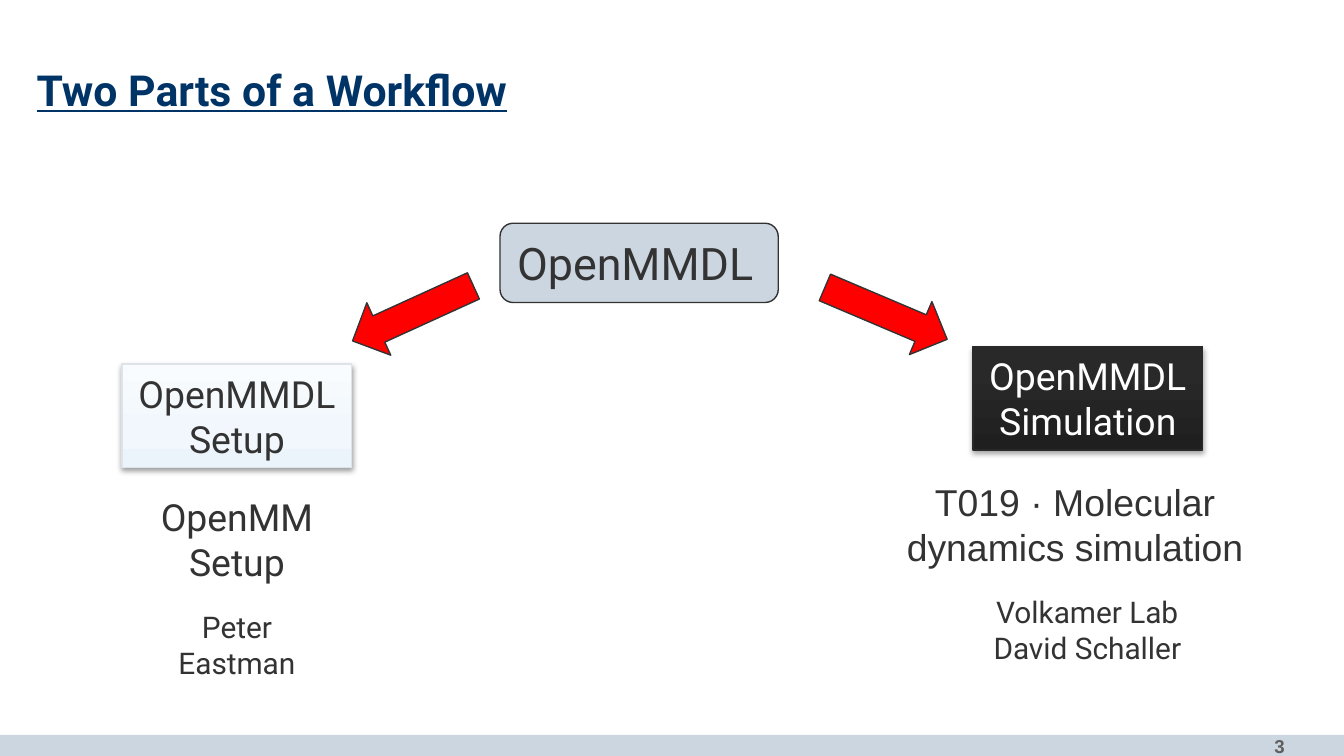
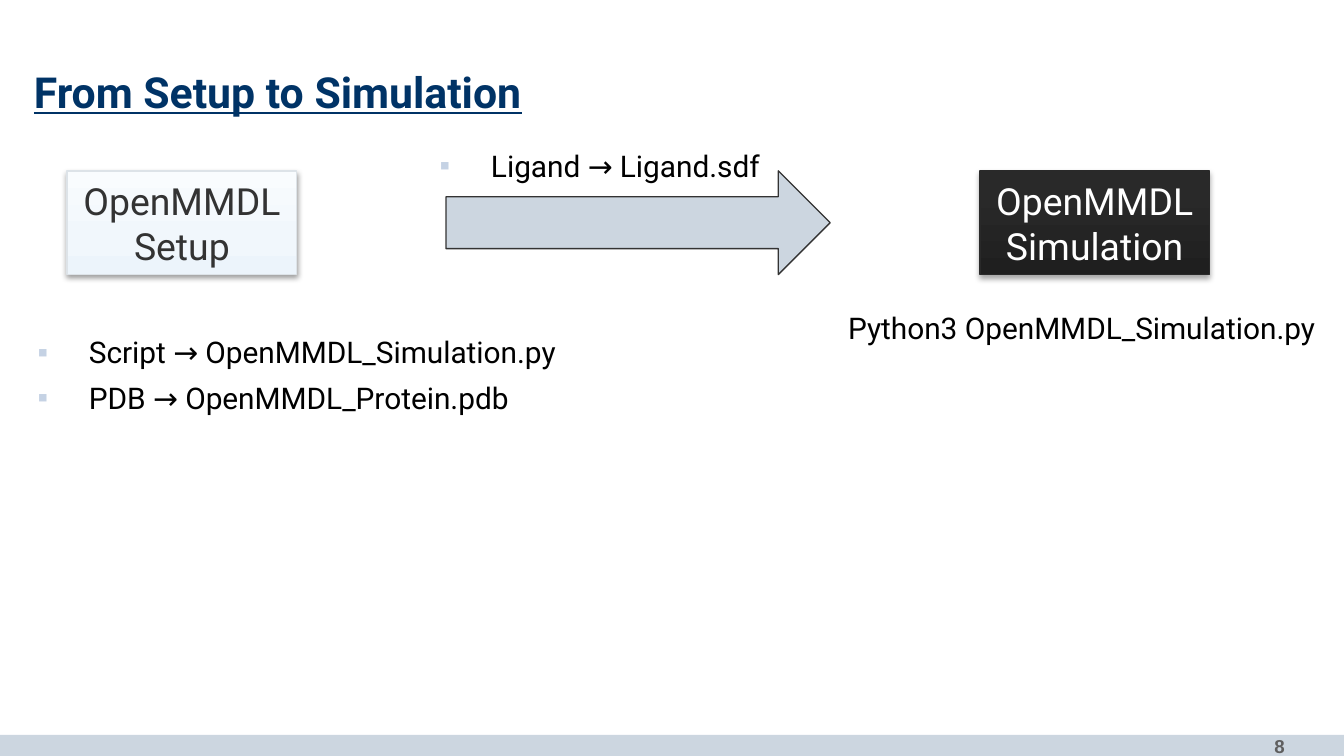
"""Builds two slides about the parts of the OpenMMDL workflow."""
from lxml import etree
from pptx import Presentation
from pptx.dml.color import RGBColor
from pptx.enum.shapes import MSO_SHAPE
from pptx.enum.text import MSO_ANCHOR, MSO_AUTO_SIZE, PP_ALIGN
from pptx.oxml.ns import qn
from pptx.util import Cm, Pt

RECT, ROUND, ARROW = MSO_SHAPE.RECTANGLE, MSO_SHAPE.ROUNDED_RECTANGLE, MSO_SHAPE.RIGHT_ARROW
LEFT, CENTER, RIGHT = PP_ALIGN.LEFT, PP_ALIGN.CENTER, PP_ALIGN.RIGHT
TOP, MIDDLE = MSO_ANCHOR.TOP, MSO_ANCHOR.MIDDLE
NO_FIT = MSO_AUTO_SIZE.NONE

NAVY = RGBColor(0x00, 0x33, 0x66)
BAND = RGBColor(0xCC, 0xD6, 0xE0)
GRAY = RGBColor(0x5F, 0x5F, 0x5F)
DARK = RGBColor(0x33, 0x33, 0x33)
RED = RGBColor(0xFF, 0x00, 0x00)
BLACK = RGBColor(0x00, 0x00, 0x00)
WHITE = RGBColor(0xFF, 0xFF, 0xFF)
BULLET = RGBColor(0xC5, 0xD2, 0xE4)
PALE_EDGE = RGBColor(0xDD, 0xE3, 0xE8)
COAL = RGBColor(0x29, 0x29, 0x29)
PALE_STOPS = [(0, RGBColor(0xEC, 0xF4, 0xFB)), (35, RGBColor(0xF1, 0xF7, 0xFC)),
              (100, RGBColor(0xF9, 0xFC, 0xFE))]
COAL_STOPS = [(0, RGBColor(0x1F, 0x1F, 0x1F)), (80, COAL), (100, COAL)]

WIDTH, HEIGHT = 25.4, 14.29
BOX_W, BOX_H = 4.34, 1.96


def add(parent, tag, **attrs):
    return etree.SubElement(parent, qn(tag), {k: str(v) for k, v in attrs.items()})


def add_color(parent, color):
    return add(parent, "a:srgbClr", val=color)


class Deck:
    def __init__(self):
        self.prs = Presentation()
        self.prs.slide_width, self.prs.slide_height = Cm(WIDTH), Cm(HEIGHT)
        self.font = "Roboto"
        self.slide = None

    def new_slide(self, title, number, x, y):
        self.slide = self.prs.slides.add_slide(self.prs.slide_layouts[5])
        self.shape(RECT, 0, 13.89, WIDTH, HEIGHT - 13.89, BAND)
        self.text([number], 21.13, 13.77, 3.4, 0.51, 10, GRAY, RIGHT, font="Arial", bold=True)
        sp = self.slide.shapes.title
        sp.left, sp.top, sp.width, sp.height = Cm(x), Cm(y), Cm(24), Cm(0.89)
        self.set_text(sp, [title], 22.9, NAVY, LEFT, inset=0, bold=True, underline=True,
                      spacing=0.9)

    def set_text(self, sp, lines, size, color, align, anchor=TOP, font=None, inset=None,
                 bold=False, underline=False, spacing=None, before=None):
        tf = sp.text_frame
        tf.word_wrap, tf.auto_size, tf.vertical_anchor = True, NO_FIT, anchor
        if inset is not None:
            tf.margin_left = tf.margin_right = tf.margin_top = tf.margin_bottom = Cm(inset)
        for i, line in enumerate(lines):
            p = tf.add_paragraph() if i else tf.paragraphs[0]
            p.alignment = align
            if spacing:
                p.line_spacing = spacing
            if before:
                p.space_before = Pt(before)
            r = p.add_run()
            r.text = line
            r.font.name, r.font.size = font or self.font, Pt(size)
            r.font.color.rgb = color
            r.font.bold, r.font.underline = bold, underline

    def text(self, lines, x, y, w, h, size, color=DARK, align=CENTER, **style):
        sp = self.slide.shapes.add_textbox(Cm(x), Cm(y), Cm(w), Cm(h))
        self.set_text(sp, lines, size, color, align, **style)
        return sp

    def files(self, lines, x, y, w, h, bullets=True):
        sp = self.text(lines, x, y, w, h, 16, BLACK, LEFT, inset=0, spacing=1.02, before=5)
        for p in sp.text_frame.paragraphs if bullets else []:
            pPr = p._p.get_or_add_pPr()
            pPr.set("marL", str(Cm(0.97)))
            pPr.set("indent", str(Cm(-0.97)))
            add_color(add(pPr, "a:buClr"), BULLET)
            add(pPr, "a:buFont", typeface="Arial")
            add(pPr, "a:buChar", char="▪")

    def shape(self, kind, x, y, w, h, fill=None, line=None, rotation=0):
        sp = self.slide.shapes.add_shape(kind, Cm(x), Cm(y), Cm(w), Cm(h))
        sp.shadow.inherit = False
        sp.rotation = rotation
        if fill:
            sp.fill.solid()
            sp.fill.fore_color.rgb = fill
        if line:
            sp.line.color.rgb, sp.line.width = line, Pt(0.75)
        else:
            sp.line.fill.background()
        return sp

    def part_box(self, name, x, y, stops, line, color, alpha, distance):
        sp = self.shape(RECT, x, y, BOX_W, BOX_H, line=line)
        sp.fill.gradient()
        sp.fill.gradient_angle = 90
        spPr = sp._element.spPr
        gs_lst = spPr.find(qn("a:gradFill")).find(qn("a:gsLst"))
        for gs in list(gs_lst):
            gs_lst.remove(gs)
        for pos, rgb in stops:
            add_color(add(gs_lst, "a:gs", pos=pos * 1000), rgb)
        shadow = add(spPr.find(qn("a:effectLst")), "a:outerShdw", blurRad=Pt(3.1),
                     dist=Pt(distance), dir=90 * 60000, rotWithShape=0)
        add(add_color(shadow, BLACK), "a:alpha", val=alpha * 1000)
        self.set_text(sp, ["OpenMMDL", name], 20, color, CENTER, MIDDLE)

    def setup_box(self, x, y):
        self.part_box("Setup", x, y, PALE_STOPS, PALE_EDGE, DARK, 38, 1.6)

    def simulation_box(self, x, y):
        self.part_box("Simulation", x, y, COAL_STOPS, COAL, WHITE, 35, 1.8)


def workflow_slide(deck):
    deck.new_slide("Two Parts of a Workflow", "3", 0.69, 1.32)
    for x, angle in ((6.55, 155.5), (15.49, 23)):
        deck.shape(ARROW, x, 5.38, 2.51, 1.09, RED, DARK, angle)
    sp = deck.shape(ROUND, 9.45, 4.22, 5.26, 1.5, BAND, DARK)
    deck.set_text(sp, ["OpenMMDL"], 24, DARK, LEFT, MIDDLE)
    deck.setup_box(2.31, 6.88)
    deck.text(["OpenMM", "Setup"], 2.31, 9.22, BOX_W, BOX_H, 20)
    deck.text(["Peter", "Eastman"], 2.31, 11.38, BOX_W, 1.63, 16)
    deck.simulation_box(18.39, 6.55)
    deck.text(["T019 · Molecular dynamics simulation"], 16.51, 8.94, 7.62, BOX_H, 20, font="Arial")
    deck.text(["Volkamer Lab", "David Schaller"], 16.74, 11.1, 7.62, 1.63, 16)


def files_slide(deck):
    deck.new_slide("From Setup to Simulation", "8", 0.64, 1.35)
    row = 3.23
    deck.setup_box(1.27, row)
    deck.shape(ARROW, 8.43, row, 7.26, BOX_H, BAND, DARK)
    deck.simulation_box(18.52, row)
    deck.files(["Script → OpenMMDL_Simulation.py", "PDB → OpenMMDL_Protein.pdb"],
               0.71, 6.3, 11.84, 1.96)
    deck.files(["Ligand → Ligand.sdf"], 8.31, 2.77, 7.54, 0.91)
    deck.files(["Python3 OpenMMDL_Simulation.py"], 16.03, 5.84, 9.32, 0.91, bullets=False)


deck = Deck()
workflow_slide(deck)
files_slide(deck)
deck.prs.save("out.pptx")
